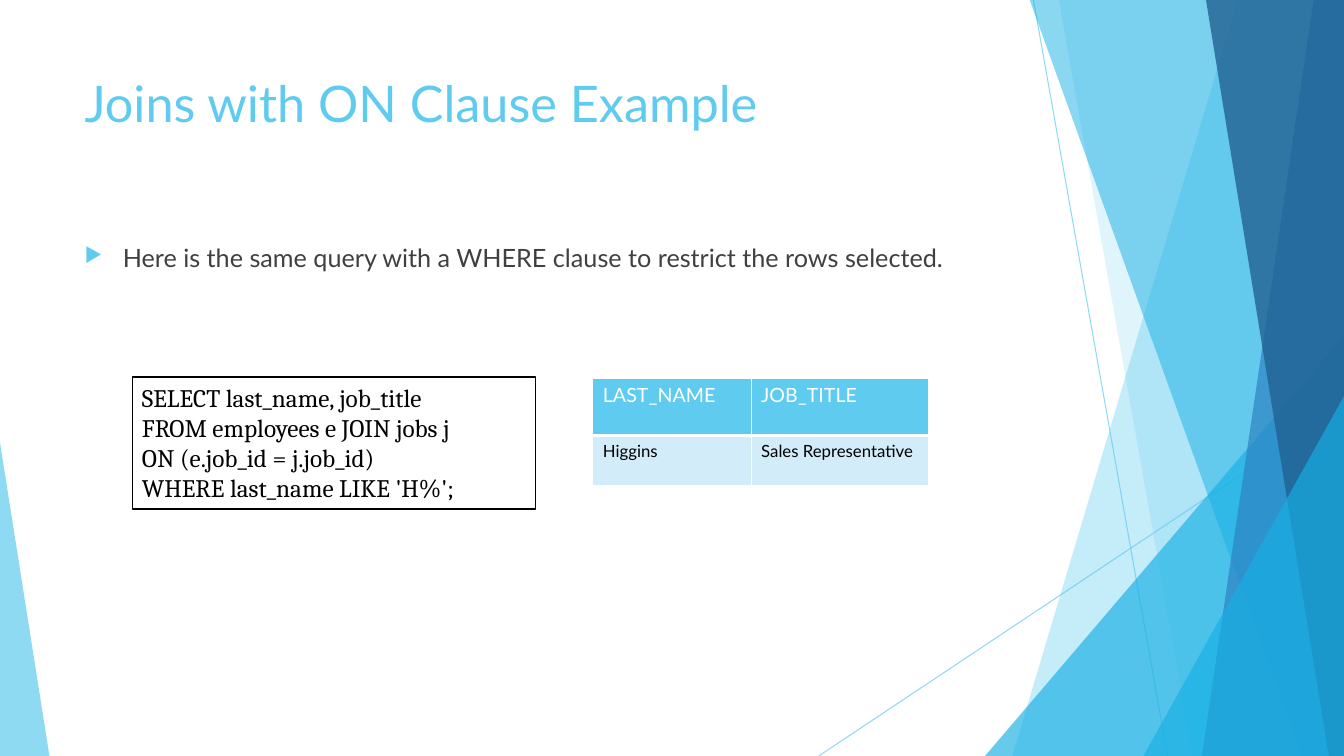
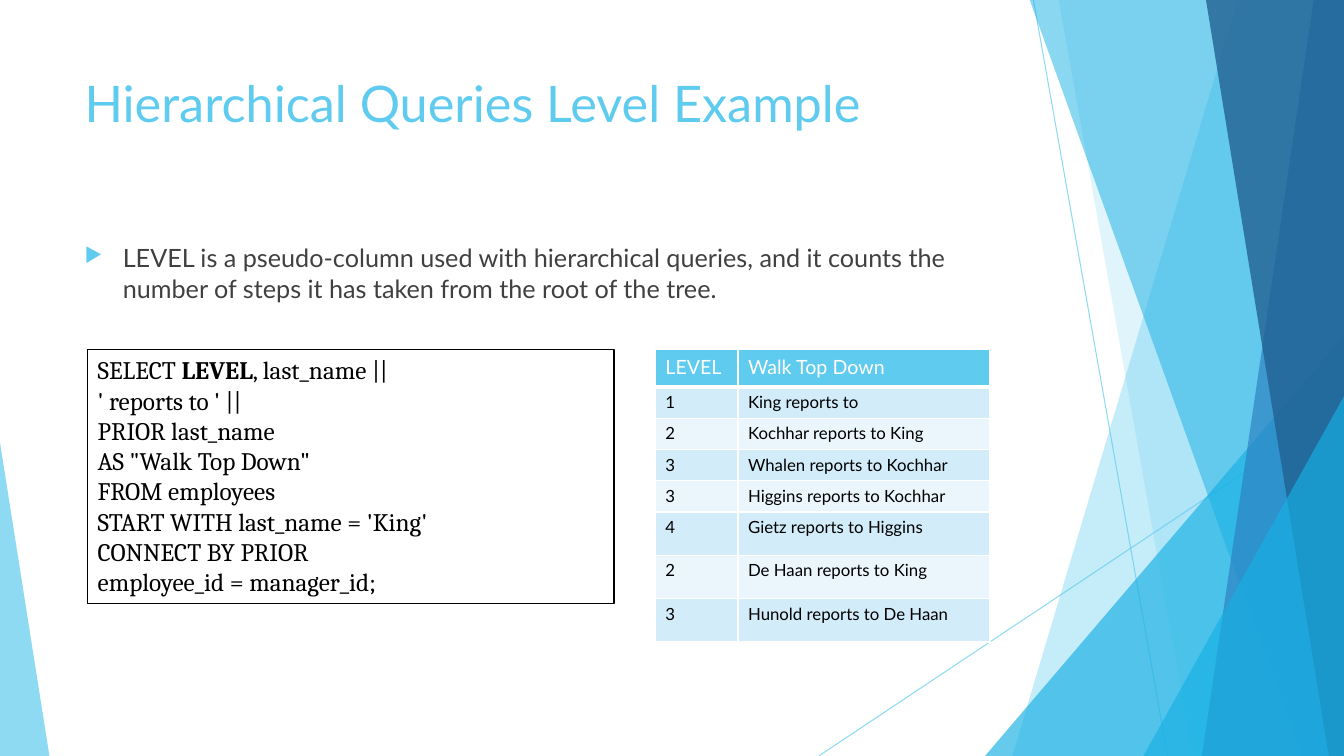
from dataclasses import dataclass

from lxml.etree import SubElement
from pptx import Presentation
from pptx.dml.color import RGBColor
from pptx.enum.shapes import MSO_CONNECTOR, MSO_SHAPE
from pptx.enum.text import MSO_ANCHOR, MSO_AUTO_SIZE, PP_ALIGN
from pptx.oxml import parse_xml
from pptx.oxml.ns import nsdecls, qn
from pptx.util import Emu, Pt

SCALE = 9144
WIDE, HIGH = 1333, 750


@dataclass(frozen=True)
class Theme:
    """Colours, fonts and type sizes of the deck."""
    sky: str = "5FCBEF"
    cyan: str = "17B0E4"
    blue: str = "2E83C3"
    navy: str = "226292"
    white: str = "FFFFFF"
    black: str = "000000"
    grey: str = "404040"
    rows: tuple = ("D2ECF9", "EAF6FC")
    sans: str = "Lato"
    serif: str = "Cambria"
    title: int = 36
    body: int = 18
    head: int = 14
    cell: int = 12
    thin: float = 0.75


THEME = Theme()


def px(*sizes):
    """Turn px lengths into EMU."""
    return [Emu(size * SCALE) for size in sizes]


def fade(props, alpha):
    """Set the opacity percentage of the first colour in props."""
    tint = next(props.iter(qn("a:srgbClr")))
    SubElement(tint, qn("a:alpha")).set("val", str(alpha * 1000))


def paint(shape, tint, alpha):
    """Give a shape a flat see-through fill with no line or shadow."""
    shape.shadow.inherit = False
    shape.fill.solid()
    shape.fill.fore_color.rgb = RGBColor.from_string(tint)
    fade(shape.fill._xPr, alpha)
    shape.line.fill.background()


def style(para, face, size, tint):
    """Set the font of a whole paragraph."""
    font = para.font
    font.name, font.size, font.bold = face, Pt(size), False
    font.color.rgb = RGBColor.from_string(tint)


def ray(slide, *ends):
    """Draw one thin slanted line."""
    line = slide.shapes.add_connector(MSO_CONNECTOR.STRAIGHT, *px(*ends))
    line.line.color.rgb = RGBColor.from_string(THEME.sky)
    line.line.width = Pt(THEME.thin)
    props = line.line._get_or_add_ln()
    fade(props, 70)
    SubElement(props.getparent(), qn("a:effectLst"))


def band(slide, box, head, foot):
    """Draw a band from a slanted left edge to the right side of the box."""
    left, top, width, height = box
    right, base = left + width, top + height
    edge = slide.shapes.build_freeform(*px(left + head, top - 1), scale=1.0)
    points = (right, top - 1), (right, base), (left + foot, base)
    edge.add_line_segments([px(*point) for point in points], close=True)
    return edge.convert_to_shape()


def wedge(slide, box, start, end, rise, lean):
    """Draw a triangle on the base of the box, leaning left (0) or right (1)."""
    left, top, _, height = box
    shape = slide.shapes.add_shape(
        MSO_SHAPE.ISOSCELES_TRIANGLE,
        *px(left + start, top + height - rise, end - start, rise))
    shape.adjustments[0] = lean
    return shape


def fan(slide, box):
    """Draw the layered rays, bands and wedges that frame each slide."""
    left, top, width, height = box
    base = top + height
    ray(slide, left + 1025, top, left + 1158, base)
    ray(slide, left + width, top + 403, left + 812, base)
    for draw, shape, tint, alpha in (
        (band, (1228, 1004), THEME.sky, 36),
        (band, (1050, 1183), THEME.sky, 20),
        (wedge, (977, WIDE, 417, 1), THEME.cyan, 66),
        (band, (1021, 1291), THEME.cyan, 50),
        (band, (1303, 1192), THEME.blue, 70),
        (band, (1196, 1318), THEME.navy, 80),
        (wedge, (1134, WIDE, 357, 1), THEME.cyan, 66),
        (wedge, (0, 49, 311, 0), THEME.sky, 70),
    ):
        paint(draw(slide, box, *shape), tint, alpha)


def label(slide, box, text):
    """Add a wrapped text box and return its paragraph."""
    frame = slide.shapes.add_textbox(*px(*box)).text_frame
    frame.word_wrap = True
    para = frame.paragraphs[0]
    para.text = text
    return para


def title(slide, box, text):
    """Write the slide title."""
    style(label(slide, box, text), THEME.sans, THEME.title, THEME.sky)


def point(slide, box, text):
    """Write the bulleted statement."""
    para = label(slide, box, text)
    para.space_before = Pt(10)
    props = para._p.get_or_add_pPr()
    inset = px(38)[0]
    props.set("marL", str(inset))
    props.set("indent", str(-inset))
    for mark in (f'<a:buClr {nsdecls("a")}><a:srgbClr val="{THEME.sky}"/></a:buClr>',
                 f'<a:buSzPct {nsdecls("a")} val="80000"/>',
                 f'<a:buChar {nsdecls("a")} char="▶"/>'):
        props.append(parse_xml(mark))
    style(para, THEME.sans, THEME.body, THEME.grey)


def code(slide, box, lines):
    """Write a framed query, with text between ** marks in bold."""
    shape = slide.shapes.add_shape(MSO_SHAPE.RECTANGLE, *px(*box))
    shape.shadow.inherit = False
    shape.fill.background()
    shape.line.color.rgb = RGBColor.from_string(THEME.black)
    shape.line.width = Pt(THEME.thin)
    frame = shape.text_frame
    frame.word_wrap = True
    frame.auto_size = MSO_AUTO_SIZE.SHAPE_TO_FIT_TEXT
    frame.vertical_anchor = MSO_ANCHOR.TOP
    for row, line in enumerate(lines):
        para = frame.add_paragraph() if row else frame.paragraphs[0]
        para.alignment = PP_ALIGN.LEFT
        style(para, THEME.serif, THEME.body, THEME.black)
        for part, text in enumerate(line.split("**")):
            run = para.add_run()
            run.text = text
            if part % 2:
                run.font.bold = True


def rule(cell, base):
    """Draw white cell borders with a bottom line of the given weight."""
    props = cell._tc.get_or_add_tcPr()
    for spot, (side, weight) in enumerate(zip("LRTB", (1, 1, 1, base))):
        props.insert(spot, parse_xml(
            f'<a:ln{side} {nsdecls("a")} w="{Pt(weight)}"><a:solidFill>'
            f'<a:srgbClr val="{THEME.white}"/></a:solidFill></a:ln{side}>'))


def grid(slide, spot, widths, heights, data):
    """Build a result table with a bright head and banded rows."""
    size = sum(widths), sum(heights)
    table = slide.shapes.add_table(
        len(data), len(widths), *px(*spot, *size)).table
    table.first_row = table.horz_banding = False
    for col, width in zip(table.columns, px(*widths)):
        col.width = width
    for row, height in zip(table.rows, px(*heights)):
        row.height = height
    for r, texts in enumerate(data):
        fill = THEME.rows[(r - 1) % 2] if r else THEME.sky
        size, tint = (THEME.cell, THEME.black) if r else (THEME.head, THEME.white)
        for c, text in enumerate(texts):
            cell = table.cell(r, c)
            cell.text = text
            cell.fill.solid()
            cell.fill.fore_color.rgb = RGBColor.from_string(fill)
            rule(cell, 1 if r else 3)
            style(cell.text_frame.paragraphs[0], THEME.sans, size, tint)


def page(deck, name, note):
    """Add a framed slide with its title and statement."""
    slide = deck.slides.add_slide(deck.slide_layouts[6])
    fan(slide, (0, 0, WIDE, HIGH))
    title(slide, (74, 67, 940, 144), name)
    point(slide, (74, 236, 940, 70), note)
    return slide


def joins(deck):
    """Build the slide on joins."""
    slide = page(deck, "Joins with ON Clause Example",
                 "Here is the same query with a WHERE clause to restrict the rows selected.")
    code(slide, (131, 374, 400, 131), (
        "SELECT last_name, job_title",
        "FROM employees e JOIN jobs j",
        "ON (e.job_id = j.job_id)",
        "WHERE last_name LIKE 'H%';"))
    grid(slide, (588, 375), (157, 176), (57, 50), (
        ("LAST_NAME", "JOB_TITLE"),
        ("Higgins", "Sales Representative")))


def levels(deck):
    """Build the slide on query levels."""
    slide = page(deck, "Hierarchical Queries Level Example",
                 "LEVEL is a pseudo-column used with hierarchical queries, and it counts "
                 "the number of steps it has taken from the root of the tree.")
    code(slide, (87, 347, 522, 252), (
        "SELECT **LEVEL**, last_name ||",
        "' reports to ' ||",
        "PRIOR last_name",
        'AS "Walk Top Down"',
        "FROM employees",
        "START WITH last_name = 'King'",
        "CONNECT BY PRIOR",
        "employee_id = manager_id;"))
    grid(slide, (650, 347), (82, 250), (37, *[31] * 4, *[43] * 3), (
        ("LEVEL", "Walk Top Down"),
        ("1", "King reports to"),
        ("2", "Kochhar reports to King"),
        ("3", "Whalen reports to Kochhar"),
        ("3", "Higgins reports to Kochhar"),
        ("4", "Gietz reports to Higgins"),
        ("2", "De Haan reports to King"),
        ("3", "Hunold reports to De Haan")))


def main():
    """Build and save the deck."""
    deck = Presentation()
    deck.slide_width, deck.slide_height = px(WIDE, HIGH)
    joins(deck)
    levels(deck)
    deck.save("out.pptx")


if __name__ == "__main__":
    main()
